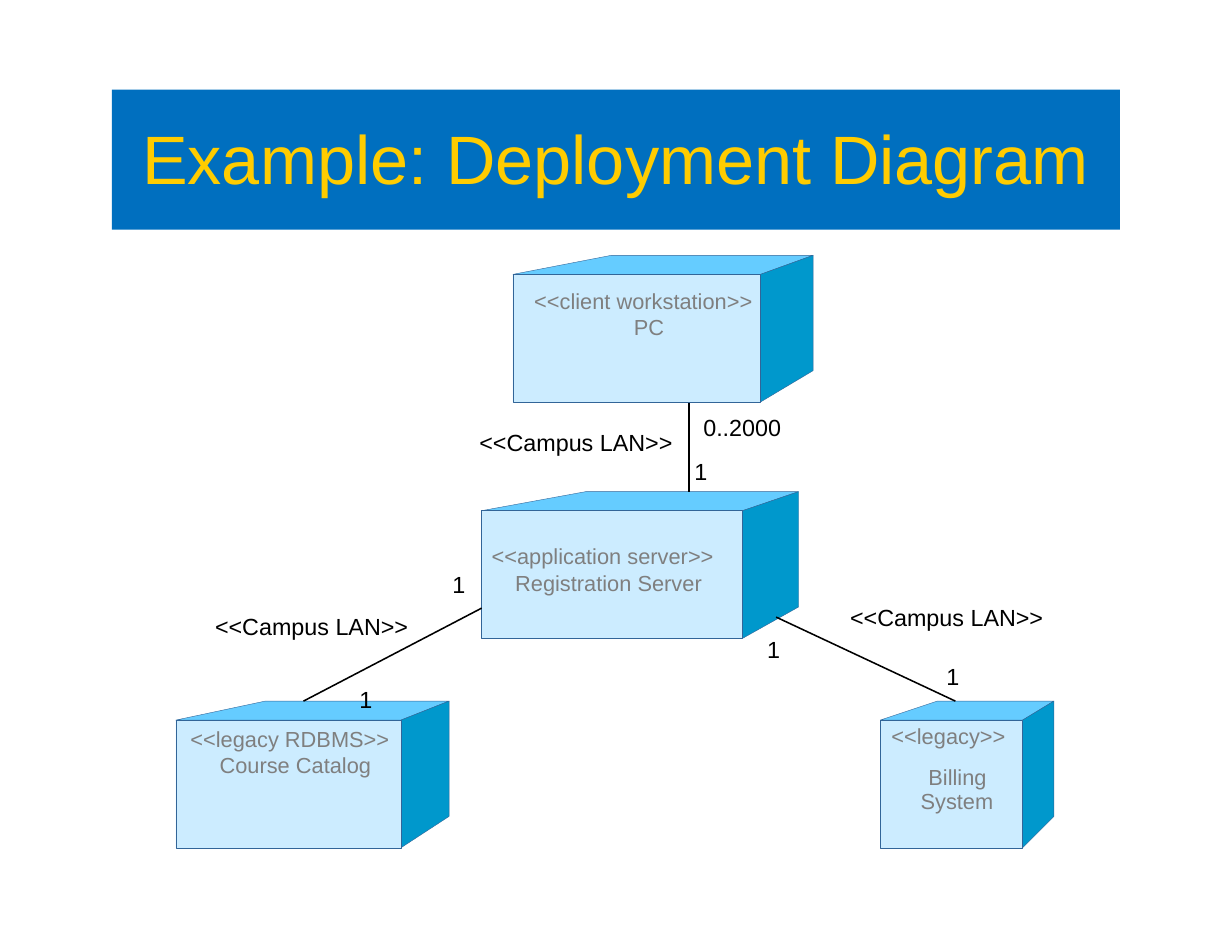
"""Build the deployment diagram slide."""
from pptx import Presentation
from pptx.dml.color import RGBColor
from pptx.enum.shapes import MSO_CONNECTOR, MSO_SHAPE
from pptx.enum.text import MSO_ANCHOR, PP_ALIGN
from pptx.oxml.ns import qn
from pptx.util import Inches, Pt
from lxml import etree

COLORS = {"banner": "006FBF", "title": "FFCC00", "front": "CCECFF", "top": "65CCFF",
          "side": "0098CC", "edge": "326598", "node": "7F7F7F", "ink": "000000"}
FACE_HEIGHT, TOP_DEPTH, SIDE_HEIGHT = 1.14, 0.17, 1.03

TITLE = "Example: Deployment Diagram"

NODES = [
    {"face": (4.58, 2.45, 2.21), "ridge": (5.46, 7.26), "inset": 0.12,
     "text": [("<<client workstation>>\vPC", 0.19, 1.08, 0, None)]},
    {"face": (1.57, 6.43, 2.01), "ridge": (2.37, 4.01), "inset": 0.05,
     "text": [("<<legacy RDBMS>>\vCourse Catalog", 0.13, 0.39, 0, None)]},
    {"face": (4.3, 4.56, 2.33), "ridge": (5.23, 7.13), "inset": 0.29,
     "text": [("<<application server>>\vRegistration Server", 0.09, 0.3, 0, None)]},
    {"face": (7.86, 6.43, 1.27), "ridge": (8.37, 9.41), "inset": 0.02,
     "text": [("<<legacy>>", 0.1, 0.1, 0, None),
              ("Billing\vSystem", 0.43, 0.36, 11.2, 15.4)]},
]
LINKS = [
    ((6.15, 3.6), (6.15, 4.39)),
    ((4.3, 5.43), (2.71, 6.26)),
    ((6.93, 5.51), (8.53, 6.26)),
]
LABELS = [
    ("<<Campus LAN>>", 4.27, 3.81), ("0..2000", 6.27, 3.68), ("1", 6.19, 4.07),
    ("<<Campus LAN>>", 7.58, 5.38), ("<<Campus LAN>>", 1.91, 5.46),
    ("1", 3.2, 6.11), ("1", 4.03, 5.08), ("1", 6.84, 5.66), ("1", 8.44, 5.9),
]
LABEL_WIDTHS = {"<<Campus LAN>>": 1.75, "0..2000": 0.73, "1": 0.14}


def color(name):
    return RGBColor.from_string(COLORS[name])


def paint(shape, fill, edge=None):
    shape.shadow.inherit = False
    shape.fill.solid()
    shape.fill.fore_color.rgb = color(fill)
    if edge:
        shape.line.color.rgb = color(edge)
        shape.line.width = Pt(0.25)
    else:
        shape.line.fill.background()


def set_frame(shape, inset, wrap=True):
    frame = shape.text_frame
    frame.margin_left = frame.margin_right = frame.margin_bottom = 0
    frame.margin_top = Inches(inset)
    frame.vertical_anchor = MSO_ANCHOR.TOP
    frame.word_wrap = wrap
    return frame


def style(paragraph, size, ink, first=0, rest=0):
    paragraph.alignment = PP_ALIGN.LEFT
    properties = paragraph._p.get_or_add_pPr()
    properties.set("marL", str(Inches(rest)))
    properties.set("indent", str(Inches(first) - Inches(rest)))
    for run in paragraph.runs:
        run.font.size = Pt(size)
        run.font.name = "Arial"
        run.font.color.rgb = color(ink)


def add_box(slide, left, top, width, height, fill, edge=None):
    shape = slide.shapes.add_shape(
        MSO_SHAPE.RECTANGLE, Inches(left), Inches(top), Inches(width), Inches(height))
    paint(shape, fill, edge)
    return shape


def add_facet(slide, points, fill):
    start, *others = [(Inches(x), Inches(y)) for x, y in points]
    builder = slide.shapes.build_freeform(*start)
    builder.add_line_segments(others)
    paint(builder.convert_to_shape(), fill, "edge")


def add_node(slide, node):
    left, top, width = node["face"]
    ridge_left, ridge_right = node["ridge"]
    right, bottom, ridge = left + width, top + FACE_HEIGHT, top - TOP_DEPTH
    add_facet(slide, [(left, top), (ridge_left, ridge), (ridge_right, ridge), (right, top)], "top")
    add_facet(slide, [(right, top), (ridge_right, ridge),
                      (ridge_right, ridge + SIDE_HEIGHT), (right, bottom)], "side")
    face = add_box(slide, left, top, width, FACE_HEIGHT, "front", "edge")
    frame = set_frame(face, node["inset"])
    for index, (text, first, rest, before, spacing) in enumerate(node["text"]):
        paragraph = frame.add_paragraph() if index else frame.paragraphs[0]
        paragraph.text = text
        paragraph.space_before = Pt(before)
        if spacing:
            paragraph.line_spacing = Pt(spacing)
        style(paragraph, 14, "node", first, rest)


def add_link(slide, start, end):
    connector = slide.shapes.add_connector(
        MSO_CONNECTOR.STRAIGHT, *[Inches(value) for value in start + end])
    connector.line.color.rgb = color("ink")
    connector.line.width = Pt(1)
    etree.SubElement(connector._element.spPr, qn("a:effectLst"))


def add_label(slide, text, left, top):
    box = slide.shapes.add_textbox(
        Inches(left), Inches(top), Inches(LABEL_WIDTHS[text]), Inches(0.28))
    frame = set_frame(box, 0.01, wrap=False)
    frame.text = text
    style(frame.paragraphs[0], 15, "ink", 0.01, 0.01)


def main():
    presentation = Presentation()
    presentation.slide_width, presentation.slide_height = Inches(11), Inches(8.5)
    slide = presentation.slides.add_slide(presentation.slide_layouts[6])

    banner = add_box(slide, 1, 0.8, 9, 1.25, "banner")
    frame = set_frame(banner, 0.24)
    frame.text = TITLE
    style(frame.paragraphs[0], 44, "title", 0.27, 0.27)

    for node in NODES:
        add_node(slide, node)
    for link in LINKS:
        add_link(slide, *link)
    for label in LABELS:
        add_label(slide, *label)
    presentation.save("out.pptx")


if __name__ == "__main__":
    main()
